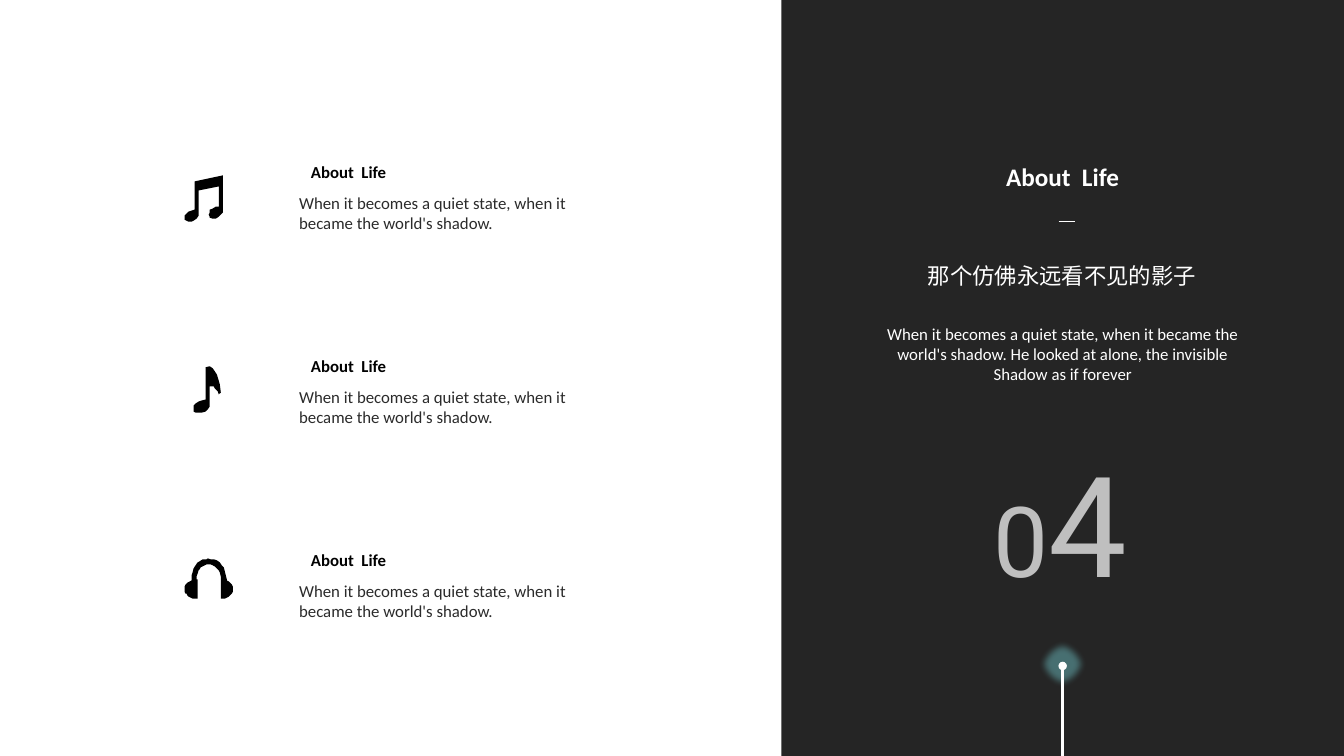
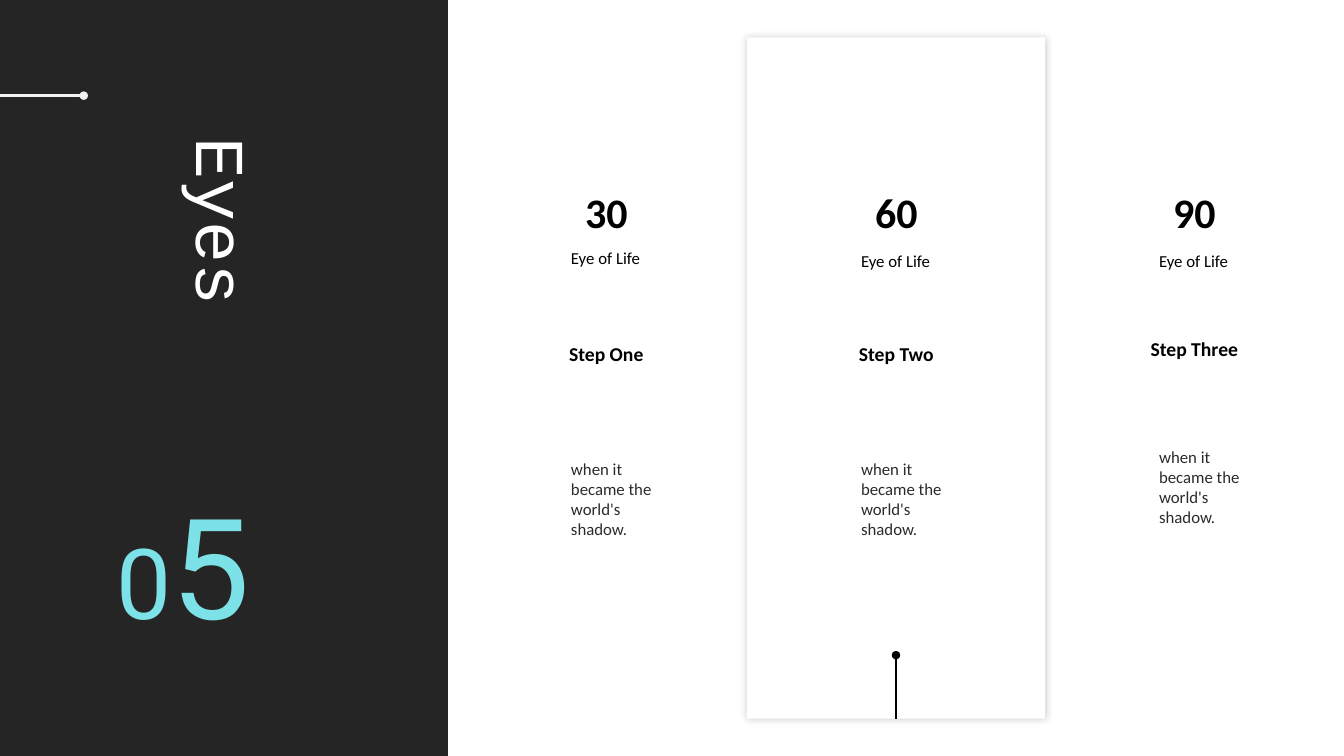
from dataclasses import dataclass

from lxml import etree
from pptx import Presentation
from pptx.dml.color import RGBColor
from pptx.enum.shapes import MSO_CONNECTOR, MSO_SHAPE
from pptx.enum.text import MSO_ANCHOR, MSO_AUTO_SIZE, PP_ALIGN
from pptx.oxml.ns import qn
from pptx.util import Cm, Pt

LEFT, CENTER = PP_ALIGN.LEFT, PP_ALIGN.CENTER
TOP = MSO_ANCHOR.TOP
NO_AUTOFIT = MSO_AUTO_SIZE.NONE
STRAIGHT = MSO_CONNECTOR.STRAIGHT
RECTANGLE, OVAL = MSO_SHAPE.RECTANGLE, MSO_SHAPE.OVAL

COLORS = {
    "panel": "252525", "white": "FFFFFF", "black": "000000", "body": "2B2B2B",
    "accent": "7DE2E7", "muted": "BFBFBF", "pale": "F2F2F2",
}
BODY_FONT, DISPLAY_FONT, NUMBER_FONT = "Calibri", "Courier New", "Roboto"
SLIDE_WIDTH, SLIDE_HEIGHT = 33.87, 19.05
TITLE_ONLY = 5
ICON_UNIT = Cm(0.0254)


@dataclass(frozen=True)
class Box:
    """Left, top, width and height in centimetres."""
    left: float
    top: float
    width: float
    height: float

    def lengths(self) -> tuple:
        return Cm(self.left), Cm(self.top), Cm(self.width), Cm(self.height)


@dataclass(frozen=True)
class Style:
    size: float
    color: str = "black"
    font: str = BODY_FONT
    bold: bool = False
    align: PP_ALIGN = LEFT


@dataclass(frozen=True)
class Topic:
    icon_left: float
    icon_drop: float
    outline: tuple


@dataclass(frozen=True)
class Step:
    number: str
    name: str
    center: float
    label_top: float
    name_top: float
    note_top: float


BEAMED_NOTES = (
    (7, 35), (10, 34), (10, 6), (38, 0), (38, 34), (38, 37), (36, 39), (34, 41),
    (31, 43), (28, 43), (25, 42), (25, 41), (24, 39), (25, 37), (25, 34), (28, 33),
    (31, 31), (34, 31), (34, 11), (14, 15), (14, 38), (14, 40), (12, 43), (9, 45),
    (7, 46), (4, 46), (2, 45), (0, 44), (0, 40), (2, 38), (4, 36),
)
SINGLE_NOTE = (
    (8, 34), (12, 33), (12, 1), (16, 0), (19, 2), (21, 5), (23, 8), (24, 11),
    (26, 18), (27, 26), (25, 28), (24, 25), (22, 23), (21, 22), (20, 20), (16, 20),
    (16, 40), (14, 43), (12, 45), (8, 46), (2, 46), (0, 45), (0, 39), (2, 37), (5, 35),
)
HEADPHONES = (
    (13, 21), (13, 40), (8, 40), (6, 39), (4, 38), (3, 37), (2, 35), (1, 35),
    (0, 33), (0, 28), (1, 26), (2, 25), (3, 24), (5, 23), (7, 22), (7, 17), (8, 14),
    (9, 10), (11, 7), (13, 4), (15, 3), (18, 1), (22, 1), (23, 0), (26, 1), (29, 1),
    (32, 2), (35, 4), (37, 7), (39, 9), (40, 13), (41, 17), (42, 21), (42, 22),
    (44, 23), (45, 24), (46, 25), (47, 26), (48, 28), (48, 33), (47, 35), (45, 37),
    (44, 38), (42, 39), (40, 40), (36, 40), (36, 21), (36, 18), (35, 14), (34, 12),
    (33, 11), (31, 9), (30, 8), (28, 7), (26, 6), (22, 6), (20, 7), (18, 8), (16, 9),
    (15, 11), (14, 12), (13, 15), (12, 18), (12, 21),
)

TOPICS = (
    Topic(4.65, 0.46, BEAMED_NOTES),
    Topic(4.88, 0.38, SINGLE_NOTE),
    Topic(4.65, 0.33, HEADPHONES),
)
TOPIC_TOP, TOPIC_PITCH = 3.96, 4.89

STEPS = (
    Step("30", "Step One", 15.28, 6.12, 8.48, 11.43),
    Step("60", "Step Two", 22.59, 6.2, 8.48, 11.43),
    Step("90", "Step Three", 30.1, 6.2, 8.36, 11.13),
)


def rgb(name: str) -> RGBColor:
    return RGBColor.from_string(COLORS[name])


# Text
def write(frame, lines: tuple, style: Style) -> None:
    frame.word_wrap = True
    frame.auto_size = NO_AUTOFIT
    frame.vertical_anchor = TOP
    for index, line in enumerate(lines):
        paragraph = frame.add_paragraph() if index else frame.paragraphs[0]
        paragraph.text = line
        paragraph.alignment = style.align
        paragraph.font.name = style.font
        paragraph.font.size = Pt(style.size)
        paragraph.font.bold = style.bold
        paragraph.font.color.rgb = rgb(style.color)


def add_text(slide, box: Box, style: Style, *lines: str) -> None:
    write(slide.shapes.add_textbox(*box.lengths()).text_frame, lines, style)


def place_title(slide, box: Box, style: Style, text: str, vertical: bool = False) -> None:
    title = slide.shapes.title
    title.left, title.top, title.width, title.height = box.lengths()
    write(title.text_frame, (text,), style)
    if vertical:
        title.text_frame._txBody.bodyPr.set("vert", "eaVert")
    # Bring the title in front of the panel
    title.element.getparent().append(title.element)


def add_section_number(slide, left: float, top: float, digit: str, color: str) -> None:
    box = slide.shapes.add_textbox(*Box(left, top, 5, 4.52).lengths())
    write(box.text_frame, ("",), Style(70, color, NUMBER_FONT, align=CENTER))
    paragraph = box.text_frame.paragraphs[0]
    for text, size in (("0", 70), (digit, 100)):
        run = paragraph.add_run()
        run.text = text
        run.font.size = Pt(size)


# Shapes and lines
def style_fill(shape, color: str) -> None:
    shape.shadow.inherit = False
    shape.fill.solid()
    shape.fill.fore_color.rgb = rgb(color)
    shape.line.fill.background()


def add_block(slide, kind: MSO_SHAPE, box: Box, color: str):
    shape = slide.shapes.add_shape(kind, *box.lengths())
    style_fill(shape, color)
    return shape


def add_effect(shape, tag: str, **attributes: str):
    effects = shape.element.spPr.find(qn("a:effectLst"))
    return etree.SubElement(effects, qn(tag), attributes)


def add_alpha(color_element, percent: int) -> None:
    etree.SubElement(color_element, qn("a:alpha"), val=str(percent * 1000))


def add_line(slide, start: tuple, end: tuple, color: str, width: float,
             dot: bool = False) -> None:
    line = slide.shapes.add_connector(STRAIGHT, *map(Cm, start + end))
    line.line.color.rgb = rgb(color)
    line.line.width = Pt(width)
    if dot:
        etree.SubElement(line.line._get_or_add_ln(), qn("a:tailEnd"), type="oval")
    etree.SubElement(line.element.spPr, qn("a:effectLst"))


def add_icon(slide, left: float, top: float, outline: tuple) -> None:
    builder = slide.shapes.build_freeform(*outline[0], scale=ICON_UNIT)
    builder.add_line_segments(outline[1:], close=True)
    style_fill(builder.convert_to_shape(Cm(left), Cm(top)), "black")


def add_slide(deck, panel: Box):
    slide = deck.slides.add_slide(deck.slide_layouts[TITLE_ONLY])
    add_block(slide, RECTANGLE, panel, "panel")
    return slide


# Slide with three topics
def build_topics(deck) -> None:
    panel_left, axis = 19.69, 26.78
    slide = add_slide(deck, Box(panel_left, 0, SLIDE_WIDTH - panel_left, SLIDE_HEIGHT))
    place_title(slide, Box(axis - 2.55, 3.94, 5.1, 1.02),
                Style(18, "white", bold=True, align=CENTER), "About  Life")
    add_line(slide, (axis - 0.1, 5.59), (axis + 0.3, 5.59), "white", 0.5)
    add_text(slide, Box(axis - 3.84, 6.48, 7.65, 0.94),
             Style(16, "white", DISPLAY_FONT, align=CENTER), "那个仿佛永远看不见的影子")
    add_text(slide, Box(axis - 4.68, 8.03, 9.37, 1.8), Style(12, "white", align=CENTER),
             "When it becomes a quiet state, when it became the world's shadow. "
             "He looked at alone, the invisible Shadow as if forever")
    add_section_number(slide, 24.23, 10.9, "4", "muted")

    # Glowing pin
    glow = add_block(slide, OVAL, Box(axis - 0.65, 16.08, 1.3, 1.3), "accent")
    add_alpha(glow.element.spPr.find(qn("a:solidFill"))[0], 40)
    add_effect(glow, "a:softEdge", rad=str(Pt(5)))
    add_line(slide, (axis, SLIDE_HEIGHT), (axis, 16.78), "white", 2, dot=True)

    # Topic rows
    for row, topic in enumerate(TOPICS):
        top = TOPIC_TOP + row * TOPIC_PITCH
        add_icon(slide, topic.icon_left, top + topic.icon_drop, topic.outline)
        add_text(slide, Box(7.16, top, 3.25, 0.76),
                 Style(12, bold=True, align=CENTER), "About  Life")
        add_text(slide, Box(7.29, top + 0.76, 7.29, 1.27), Style(12, "body"),
                 "When it becomes a quiet state, when it became the world's shadow.")


# Slide with three steps
def build_steps(deck) -> None:
    slide = add_slide(deck, Box(0, 0, SLIDE_WIDTH / 3, SLIDE_HEIGHT))
    place_title(slide, Box(4.32, 3.33, 2.64, 5.56),
                Style(50, "white", DISPLAY_FONT), "Eyes", vertical=True)
    add_section_number(slide, 2.11, 11.96, "5", "accent")
    add_line(slide, (0, 2.41), (2.11, 2.41), "pale", 2, dot=True)

    # Raised card behind the middle step
    card = Box(18.82, 0.94, 7.52, 17.17)
    raised = add_block(slide, RECTANGLE, card, "white")
    shadow = add_effect(raised, "a:outerShdw", blurRad=str(Pt(5)), dist="0",
                        algn="ctr", rotWithShape="0")
    add_alpha(etree.SubElement(shadow, qn("a:srgbClr"), val=COLORS["black"]), 20)
    axis = card.left + card.width / 2
    add_line(slide, (axis, card.top + card.height), (axis, 16.51), "black", 2, dot=True)

    # Step columns
    for step in STEPS:
        text_left = step.center - 1.14
        add_text(slide, Box(step.center - 1.66, 4.57, 3.32, 1.55),
                 Style(30, bold=True, align=CENTER), step.number)
        add_text(slide, Box(text_left, step.label_top, 2.6, 0.76), Style(12), "Eye of Life")
        add_text(slide, Box(step.center - 2.55, step.name_top, 5.1, 0.86),
                 Style(14, bold=True, align=CENTER), step.name)
        add_text(slide, Box(text_left, step.note_top, 3.02, 2.31), Style(12, "body"),
                 "when it", "became the world's shadow.")


def main() -> None:
    deck = Presentation()
    deck.slide_width, deck.slide_height = Cm(SLIDE_WIDTH), Cm(SLIDE_HEIGHT)
    build_topics(deck)
    build_steps(deck)
    deck.save("out.pptx")


if __name__ == "__main__":
    main()
